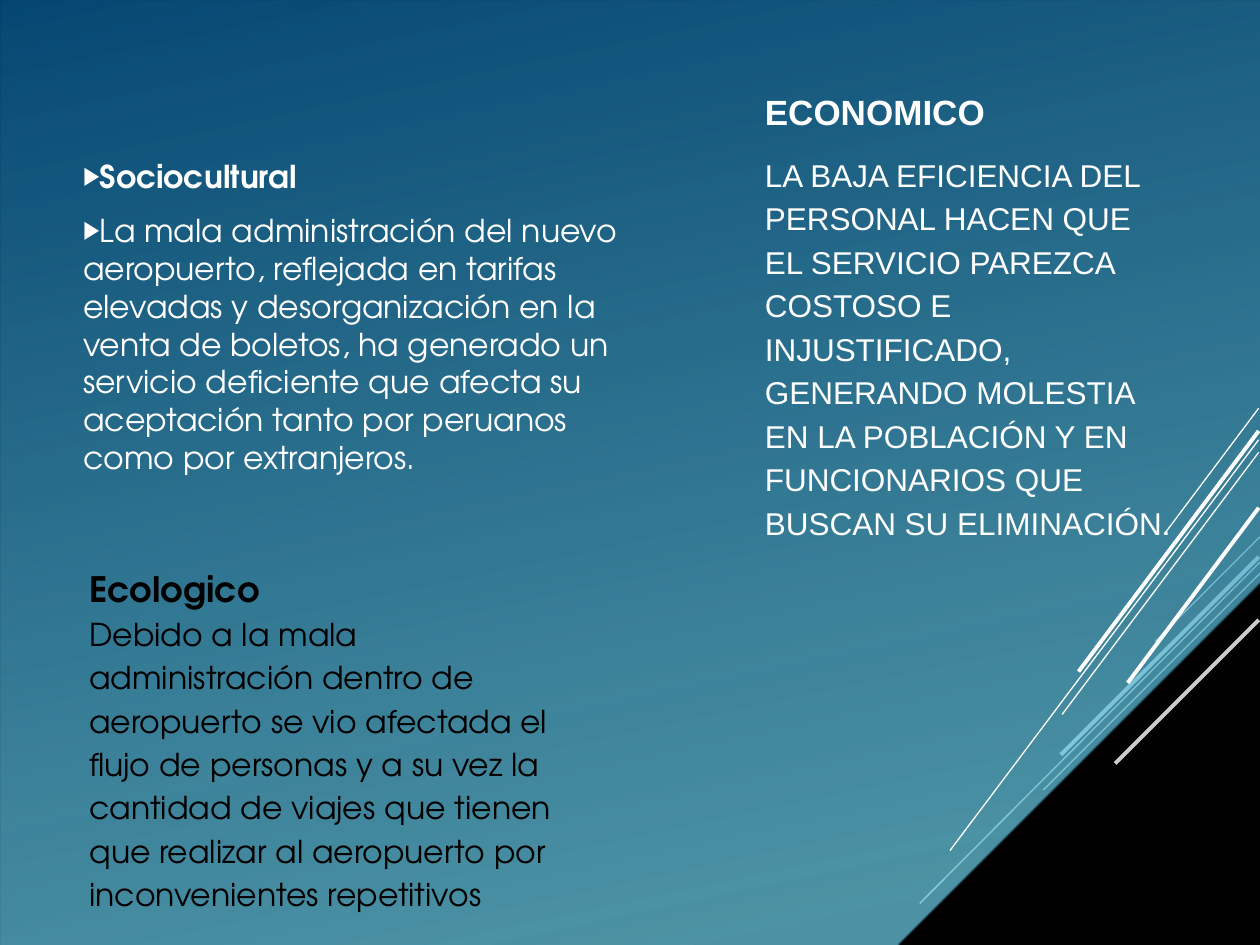
from dataclasses import dataclass

from lxml.etree import SubElement
from pptx import Presentation
from pptx.dml.color import RGBColor
from pptx.enum.shapes import MSO_CONNECTOR, MSO_SHAPE
from pptx.enum.text import MSO_ANCHOR, MSO_AUTO_SIZE, PP_ALIGN
from pptx.oxml.ns import qn
from pptx.util import Inches, Pt

WHITE = RGBColor(0xFF, 0xFF, 0xFF)
BLACK = RGBColor(0x00, 0x00, 0x00)
AQUA = RGBColor(0x6E, 0xD2, 0xEB)
NAVY = RGBColor(0x06, 0x58, 0x8E)

# The slide is a grid of 100 columns by 75 rows
COLUMNS, ROWS = 100, 75
SLIDE_WIDTH, SLIDE_HEIGHT = Inches(10), Inches(7.5)


@dataclass(frozen=True)
class Ray:
    start: tuple[float, float]
    end: tuple[float, float]
    weight: float


@dataclass(frozen=True)
class TextBlock:
    box: tuple[float, float, float, float]
    heading: str
    body: str
    font: str
    color: RGBColor
    heading_size: float
    line_spacing: float = 1.0
    space_before: float = 0
    space_after: float = 0
    left_indent: float = 0
    bullet: str = ""
    anchor: MSO_ANCHOR = MSO_ANCHOR.TOP
    # Left, top, right and bottom, in grid units
    insets: tuple[float, float, float, float] = (1, 0.5, 1, 0.5)


THIN, THICK = 0.75, 2.25
BACK_RAYS = [
    Ray((100, 42.6), (91.7, 50.9), THIN),
    Ray((100, 44.6), (73, 71.7), THIN),
    Ray((100, 45.5), (82.8, 62.7), THIN),
    Ray((99.9, 44.2), (84.2, 59.9), THICK),
    Ray((99.9, 49.2), (88.5, 60.6), THICK),
]
FRONT_RAYS = [
    Ray((99.9, 32.4), (92.4, 42.4), THIN),
    Ray((99.9, 34.9), (75.4, 67.5), THIN),
    Ray((99.9, 35.9), (84.3, 56.7), THIN),
    Ray((99.9, 34.2), (85.6, 53.3), THICK),
    Ray((99.9, 40.3), (89.5, 54.2), THICK),
]

SOCIOCULTURAL = TextBlock(
    box=(5.6, 7.5, 48.2, 39.5),
    heading="Sociocultural",
    body="La mala administración del nuevo aeropuerto, reflejada en tarifas "
         "elevadas y desorganización en la venta de boletos, ha generado un "
         "servicio deficiente que afecta su aceptación tanto por peruanos "
         "como por extranjeros.",
    font="TeX Gyre Adventor", color=WHITE, heading_size=18,
    space_before=3.6, space_after=6, bullet="▶",
    anchor=MSO_ANCHOR.MIDDLE, insets=(1, 0.5, 1, 4.8),
)
ECONOMICO = TextBlock(
    box=(59.7, 6.2, 34.5, 8.6),
    heading="ECONOMICO",
    body="LA BAJA EFICIENCIA DEL PERSONAL HACEN QUE EL SERVICIO PAREZCA "
         "COSTOSO E INJUSTIFICADO, GENERANDO MOLESTIA EN LA POBLACIÓN Y EN "
         "FUNCIONARIOS QUE BUSCAN SU ELIMINACIÓN.",
    font="Arial", color=WHITE, heading_size=20,
    line_spacing=1.15, space_before=10,
)
ECOLOGICO = TextBlock(
    box=(3.6, 43.5, 42.6, 23.2),
    heading="Ecologico",
    body="Debido a la mala administración dentro de aeropuerto se vio "
         "afectada el flujo de personas y a su vez la cantidad de viajes que "
         "tienen que realizar al aeropuerto por inconvenientes repetitivos",
    font="TeX Gyre Adventor", color=BLACK, heading_size=20,
    line_spacing=1.15, left_indent=2.5, insets=(1, 1, 1, 1),
)


def across(columns: float) -> int:
    return round(SLIDE_WIDTH * columns / COLUMNS)


def down(rows: float) -> int:
    return round(SLIDE_HEIGHT * rows / ROWS)


def place(shape, box: tuple[float, float, float, float]) -> None:
    left, top, width, height = box
    shape.left, shape.top = across(left), down(top)
    shape.width, shape.height = across(width), down(height)


def set_opacity(shape, percentages: list[int]) -> None:
    colors = shape.element.spPr.iter(qn("a:srgbClr"))
    for color, percentage in zip(colors, percentages):
        SubElement(color, qn("a:alpha"), val=str(percentage * 1000))


def draw_rays(slide, rays: list[Ray]) -> None:
    group = slide.shapes.add_group_shape()
    for ray in rays:
        line = group.shapes.add_connector(
            MSO_CONNECTOR.STRAIGHT,
            across(ray.start[0]), down(ray.start[1]),
            across(ray.end[0]), down(ray.end[1]))
        line.line.color.rgb = WHITE
        line.line.width = Pt(ray.weight)
        SubElement(line.element.spPr, qn("a:effectLst"))


def add_full_panel(slide, kind: MSO_SHAPE):
    panel = slide.shapes.add_shape(kind, 0, 0, SLIDE_WIDTH, SLIDE_HEIGHT)
    panel.shadow.inherit = False
    panel.line.fill.background()
    return panel


def draw_backdrop(slide) -> None:
    slide.background.fill.solid()
    slide.background.fill.fore_color.rgb = BLACK
    draw_rays(slide, BACK_RAYS)

    shade = add_full_panel(slide, MSO_SHAPE.RECTANGLE)
    shade.fill.solid()
    shade.fill.fore_color.rgb = BLACK
    set_opacity(shade, [20])

    # Gradient panel with its lower right corner cut off
    panel = add_full_panel(slide, MSO_SHAPE.SNIP_1_RECTANGLE)
    panel.adjustments[0] = 0.384
    panel.element.spPr.xfrm.set("flipV", "1")
    panel.fill.gradient()
    panel.fill.gradient_angle = 258
    for stop, position, color in zip(
            panel.fill.gradient_stops, (0.1, 1), (AQUA, NAVY)):
        stop.position = position
        stop.color.rgb = color
    set_opacity(panel, [70, 80])


def set_bullet(paragraph, block: TextBlock) -> None:
    properties = paragraph._p.get_or_add_pPr()
    properties.set("marL", str(across(block.left_indent)))
    properties.set("indent", "0")
    if not block.bullet:
        SubElement(properties, qn("a:buNone"))
        return
    color = SubElement(properties, qn("a:buClr"))
    SubElement(color, qn("a:srgbClr"), val=str(block.color))
    SubElement(properties, qn("a:buSzPct"), val="80000")
    SubElement(properties, qn("a:buChar"), char=block.bullet)


def write_block(shape, block: TextBlock) -> None:
    place(shape, block.box)
    frame = shape.text_frame
    frame.word_wrap = True
    frame.auto_size = MSO_AUTO_SIZE.NONE
    frame.vertical_anchor = block.anchor
    left, top, right, bottom = block.insets
    frame.margin_left, frame.margin_right = across(left), across(right)
    frame.margin_top, frame.margin_bottom = down(top), down(bottom)
    frame.text = f"{block.heading}\n{block.body}"
    for index, paragraph in enumerate(frame.paragraphs):
        is_heading = index == 0
        paragraph.alignment = PP_ALIGN.LEFT
        paragraph.line_spacing = block.line_spacing
        paragraph.space_before = Pt(block.space_before)
        paragraph.space_after = Pt(block.space_after)
        set_bullet(paragraph, block)
        font = paragraph.runs[0].font
        font.name = block.font
        font.size = Pt(block.heading_size if is_heading else 18)
        font.bold = is_heading
        font.color.rgb = block.color


def main() -> None:
    presentation = Presentation()
    presentation.slide_width, presentation.slide_height = SLIDE_WIDTH, SLIDE_HEIGHT
    slide = presentation.slides.add_slide(presentation.slide_layouts[1])
    title, body = slide.shapes.title, slide.placeholders[1]

    draw_backdrop(slide)
    draw_rays(slide, FRONT_RAYS)

    # Bring the placeholders in front of the backdrop
    for placeholder in (body, title):
        slide.shapes.element.append(placeholder.element)
    write_block(body, SOCIOCULTURAL)
    write_block(title, ECONOMICO)
    write_block(slide.shapes.add_textbox(0, 0, 0, 0), ECOLOGICO)

    presentation.save("out.pptx")


if __name__ == "__main__":
    main()
